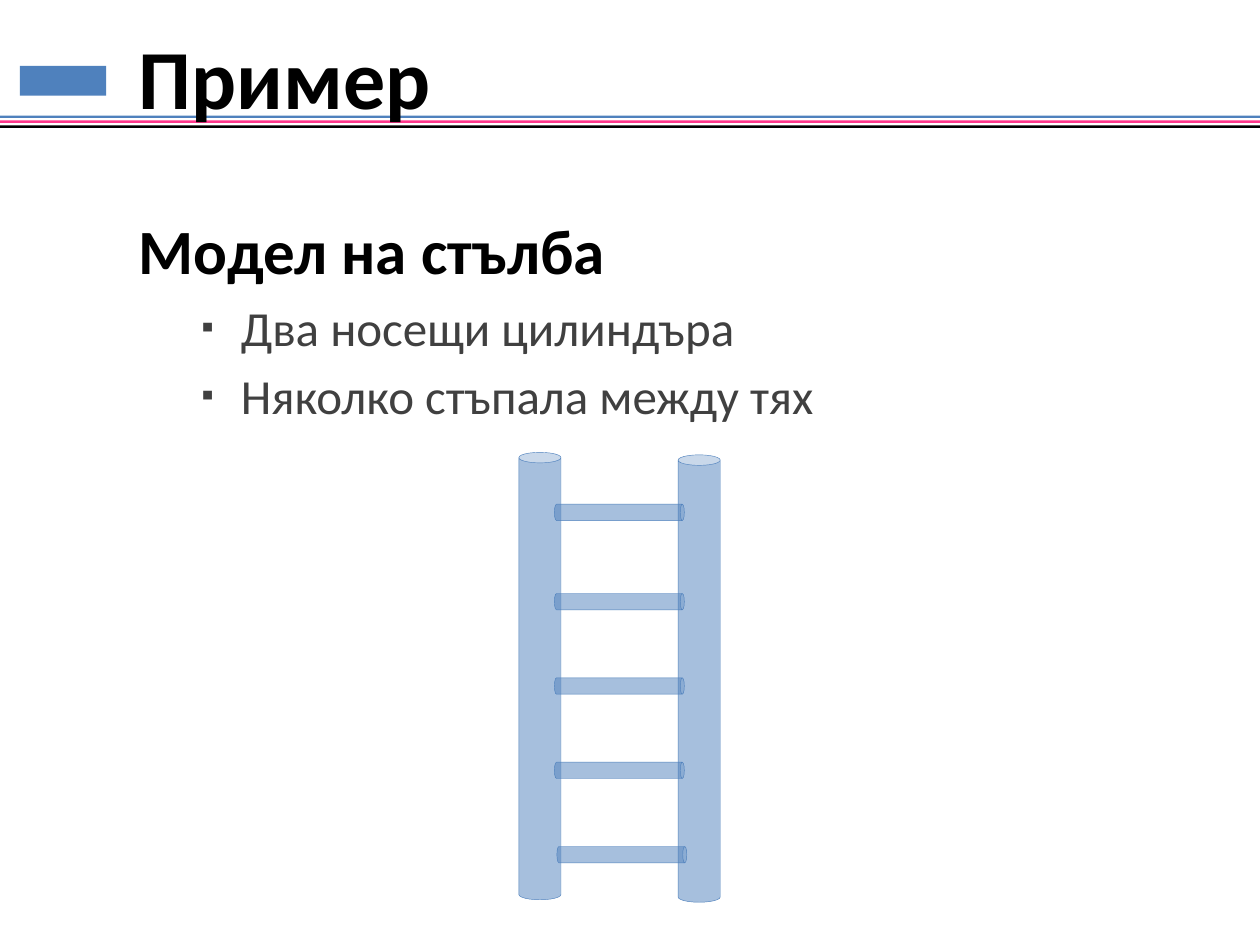
from lxml import etree
from pptx import Presentation
from pptx.dml.color import RGBColor
from pptx.enum.shapes import MSO_SHAPE
from pptx.enum.text import MSO_ANCHOR, MSO_AUTO_SIZE, PP_ALIGN
from pptx.oxml.ns import qn
from pptx.util import Cm, Pt

RECT, CAN = MSO_SHAPE.RECTANGLE, MSO_SHAPE.CAN
LEFT, MIDDLE, TOP = PP_ALIGN.LEFT, MSO_ANCHOR.MIDDLE, MSO_ANCHOR.TOP
NO_AUTOFIT = MSO_AUTO_SIZE.NONE

COLORS = {"blue": "4F81BD", "pink": "FF388C", "black": "000000", "grey": "404040"}
FONT = "Calibri"
ITEMS = ["Два носещи цилиндъра", "Няколко стъпала между тях"]


def rgb(name):
    return RGBColor.from_string(COLORS[name])


def place(sp, left, top, width, height):
    sp.left, sp.top, sp.width, sp.height = Cm(left), Cm(top), Cm(width), Cm(height)


def add_run(p, text, size, color, bold=False):
    r = p.add_run()
    r.text = text
    r.font.name = FONT
    r.font.size = Pt(size)
    r.font.bold = bold
    r.font.color.rgb = rgb(color)


def set_indent(p, left, first, bullet=None):
    pPr = p._p.get_or_add_pPr()
    pPr.set("marL", str(Cm(left)))
    pPr.set("indent", str(Cm(first)))
    if bullet is None:
        etree.SubElement(pPr, qn("a:buNone"))
        return
    clr = etree.SubElement(pPr, qn("a:buClr"))
    etree.SubElement(clr, qn("a:srgbClr"), val=COLORS["grey"])
    etree.SubElement(pPr, qn("a:buSzPct"), val="70000")
    etree.SubElement(pPr, qn("a:buFont"), typeface=FONT)
    etree.SubElement(pPr, qn("a:buChar"), char=bullet)


def add_bar(s, left, top, width, height, color):
    sp = s.shapes.add_shape(RECT, Cm(left), Cm(top), Cm(width), Cm(height))
    sp.shadow.inherit = False
    sp.fill.solid()
    sp.fill.fore_color.rgb = rgb(color)
    sp.line.fill.background()


def add_cylinder(s, left, top, width, height, rotation=0):
    sp = s.shapes.add_shape(CAN, Cm(left), Cm(top), Cm(width), Cm(height))
    sp.rotation = rotation
    sp.shadow.inherit = False
    sp.fill.solid()
    sp.fill.fore_color.rgb = rgb("blue")
    clr = sp.fill._xPr.find(qn("a:solidFill"))[0]
    etree.SubElement(clr, qn("a:alpha"), val="50000")
    sp.line.color.rgb = rgb("blue")
    sp.line.width = Pt(0.25)


def add_header(s):
    # Plain mark in the corner, then three stripes
    add_bar(s, 0.4, 1.33, 1.74, 0.6, "blue")
    for i, color in enumerate(("blue", "pink", "black")):
        add_bar(s, -0.2, 2.33 + 0.1 * i, 25.83, 0.05, color)


def fill_title(sp):
    place(sp, 0, 0.64, 25.4, 1.8)
    tf = sp.text_frame
    tf.auto_size = NO_AUTOFIT
    tf.vertical_anchor = MIDDLE
    p = tf.paragraphs[0]
    p.alignment = LEFT
    set_indent(p, 2.54, 0)
    add_run(p, "Пример", 48, "black", bold=True)


def fill_body(sp):
    place(sp, 2.54, 3.38, 22.66, 15.44)
    tf = sp.text_frame
    tf.auto_size = NO_AUTOFIT
    tf.vertical_anchor = TOP
    p = tf.paragraphs[0]
    p.line_spacing = 1.5
    set_indent(p, 0, 0)
    add_run(p, "Модел на стълба", 36, "black", bold=True)
    for item in ITEMS:
        p = tf.add_paragraph()
        p.level = 1
        set_indent(p, 2.06, -0.79, "▪")
        add_run(p, item, 28, "grey")


def add_ladder(s):
    # Rungs are upright cylinders turned on their side
    for left, top in ((12.32, 9.02), (12.32, 10.82), (12.32, 12.52),
                      (12.32, 14.22), (12.37, 15.92)):
        add_cylinder(s, left, top, 0.33, 2.62, rotation=90)
    # Rails
    for left, top in ((13.67, 9.17), (10.46, 9.12)):
        add_cylinder(s, left, top, 0.85, 9.02)


def main():
    prs = Presentation()
    prs.slide_width, prs.slide_height = Cm(25.4), Cm(19.05)
    s = prs.slides.add_slide(prs.slide_layouts[1])
    title, body = s.placeholders
    add_header(s)
    # Text stands in front of the header stripes
    for sp in (title, body):
        s.shapes._spTree.append(sp._element)
    fill_title(title)
    fill_body(body)
    add_ladder(s)
    prs.save("out.pptx")


if __name__ == "__main__":
    main()
